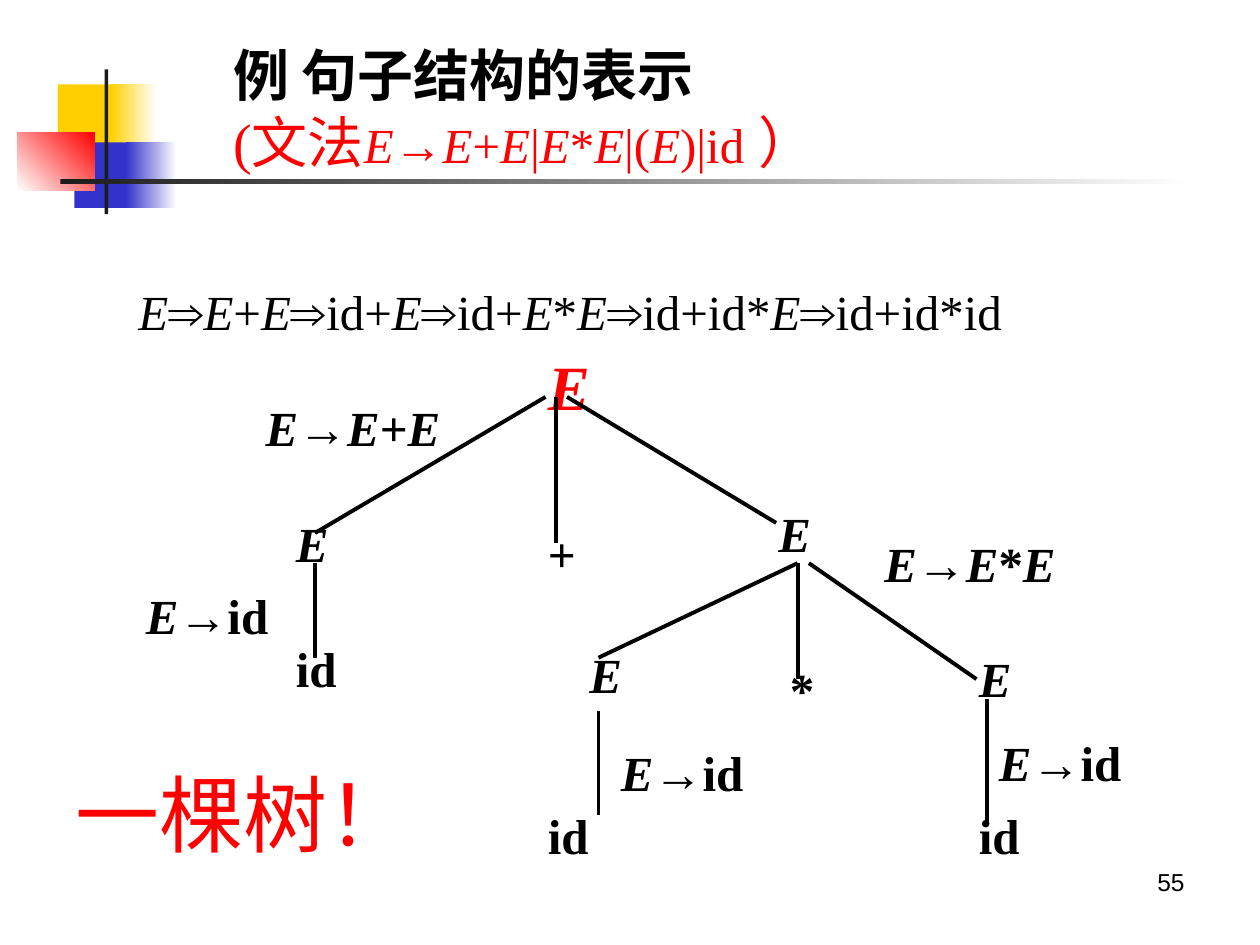
from itertools import groupby

from lxml import etree
from pptx import Presentation
from pptx.dml.color import RGBColor
from pptx.enum.shapes import MSO_CONNECTOR, MSO_SHAPE
from pptx.enum.text import MSO_ANCHOR, MSO_AUTO_SIZE, PP_ALIGN
from pptx.oxml.ns import qn
from pptx.util import Inches, Pt

RECTANGLE = MSO_SHAPE.RECTANGLE
STRAIGHT = MSO_CONNECTOR.STRAIGHT
MIDDLE = MSO_ANCHOR.MIDDLE
FIT_SHAPE = MSO_AUTO_SIZE.SHAPE_TO_FIT_TEXT
NO_FIT = MSO_AUTO_SIZE.NONE
LEFT, RIGHT = PP_ALIGN.LEFT, PP_ALIGN.RIGHT

COLORS = {
    "black": "000000",
    "white": "FFFFFF",
    "red": "FF0000",
    "yellow": "FFCF01",
    "blue": "3333CC",
    "charcoal": "1C1C1C",
}
SERIF, SANS, CHINESE = "Times New Roman", "Arial", "Noto Sans CJK SC"


def rgb(name):
    return RGBColor.from_string(COLORS[name])


def add_run(paragraph, text, color="black", face=SERIF, **format_values):
    run = paragraph.add_run()
    run.text = text
    run.font.color.rgb = rgb(color)
    run.font.name = face
    for attribute, value in format_values.items():
        setattr(run.font, attribute, value)
    east_asian = etree.SubElement(run.font._element, qn("a:ea"))
    east_asian.set("typeface", CHINESE)


def add_grammar(paragraph, text, **format_values):
    for symbol, letters in groupby(text, lambda c: c if c in "E⇒" else "other"):
        add_run(paragraph, "".join(letters), face=SANS if symbol == "⇒" else SERIF,
                italic=symbol == "E", **format_values)


def add_box(shapes, left, top, width, height):
    box = shapes.add_textbox(*map(Inches, (left, top, width, height)))
    box.text_frame.word_wrap = True
    return box.text_frame


def add_label(shapes, text, left, top, width=1.25, height=0.61,
              size=28, bold=True, color="black"):
    frame = add_box(shapes, left, top, width, height)
    frame.auto_size = FIT_SHAPE
    paragraph = frame.paragraphs[0]
    paragraph.line_spacing = 1.1
    add_grammar(paragraph, text, size=Pt(size), bold=bold, color=color)


def add_branch(shapes, x1, y1, x2, y2):
    branch = shapes.add_connector(STRAIGHT, *map(Inches, (x1, y1, x2, y2)))
    branch.line.color.rgb = rgb("black")
    branch.line.width = Pt(2.25)
    etree.SubElement(branch._element.spPr, qn("a:effectLst"))


def add_block(shapes, left, top, width, height, start, end=None, angle=0):
    block = shapes.add_shape(RECTANGLE, *map(Inches, (left, top, width, height)))
    block.shadow.inherit = False
    block.line.fill.background()
    if end is None:
        block.fill.solid()
        block.fill.fore_color.rgb = rgb(start)
        return
    block.fill.gradient()
    block.fill.gradient_angle = angle
    for stop, color in zip(block.fill.gradient_stops, (start, end)):
        stop.color.rgb = rgb(color)


def add_decoration(shapes):
    for block in (
        (0.46, 0.67, 0.48, 0.52, "yellow"),
        (0.88, 0.67, 0.36, 0.52, "yellow", "white"),
        (0.59, 1.13, 0.46, 0.52, "blue"),
        (1, 1.13, 0.4, 0.52, "blue", "white"),
        (0.14, 1.05, 0.61, 0.46, "white", "red", 45),
        (0.83, 0.55, 0.03, 1.15, "charcoal"),
        (0.48, 1.42, 9, 0.04, "charcoal", "white"),
    ):
        add_block(shapes, *block)


def add_title(title):
    title.left, title.top, title.width, title.height = map(
        Inches, (1.75, 0.27, 6.92, 1.17))
    frame = title.text_frame
    frame.auto_size = NO_FIT
    frame.vertical_anchor = MIDDLE
    paragraph = frame.paragraphs[0]
    paragraph.alignment = LEFT
    add_run(paragraph, "例 句子结构的表示", face=CHINESE, size=Pt(32), bold=True)
    paragraph.add_line_break()
    add_run(paragraph, "(文法", "red", size=Pt(32), bold=False)
    add_grammar(paragraph, "E→E+E|E*E|(E)|id", color="red", size=Pt(28), bold=False)
    add_run(paragraph, " ）", "red", size=Pt(32), bold=False)


def add_subtree(shapes, labels, branches):
    for label in labels:
        add_label(shapes, *label)
    for branch in branches:
        add_branch(shapes, *branch)


def add_tree(shapes):
    add_label(shapes, "E", 4.25, 2.65, height=0.76, size=36, color="red")
    add_subtree(
        shapes,
        [("E", 2.25, 3.98), ("+", 4.25, 4.06), ("E", 6.08, 3.9),
         ("E→E+E", 2.01, 3.06, 1.74)],
        [(2.5, 4.23, 4.33, 3.15), (6.16, 4.15, 4.5, 3.15), (4.41, 4.31, 4.41, 3.15)])
    add_subtree(
        shapes,
        [("id", 2.25, 4.97), ("E→id", 1.06, 4.55, 1.27)],
        [(2.5, 5.22, 2.5, 4.47)])
    add_subtree(
        shapes.add_group_shape().shapes,
        [("E", 4.58, 5.02), ("E", 7.67, 5.05), ("*", 6.17, 5.14),
         ("E→E*E", 6.92, 4.14, 1.58)],
        [(4.75, 5.22, 6.33, 4.47), (6.33, 4.47, 6.33, 5.39), (6.42, 4.47, 7.75, 5.39)])
    add_subtree(
        shapes,
        [("id", 4.25, 6.3), ("E→id", 4.83, 5.8, 1.35)],
        [(4.75, 5.64, 4.75, 6.47)])
    add_subtree(
        shapes.add_group_shape().shapes,
        [("id", 7.67, 6.3), ("E→id", 7.83, 5.72)],
        [(7.83, 5.55, 7.83, 6.55)])


def add_conclusion(shapes):
    frame = add_box(shapes, 0.5, 5.92, 3, 0.98)
    frame.auto_size = FIT_SHAPE
    paragraph = frame.paragraphs[0]
    paragraph.line_spacing = 1.1
    add_run(paragraph, "一棵树！", "red", CHINESE, size=Pt(48))


def add_page_number(shapes):
    paragraph = add_box(shapes, 7.17, 6.83, 2.33, 0.52).paragraphs[0]
    paragraph.alignment = RIGHT
    add_run(paragraph, "55", face=SANS, size=Pt(14))


def main():
    deck = Presentation()
    deck.slide_width, deck.slide_height = Inches(10), Inches(7.5)
    slide = deck.slides.add_slide(deck.slide_layouts[5])
    shapes = slide.shapes
    add_decoration(shapes)
    add_page_number(shapes)
    add_title(shapes.title)
    add_tree(shapes)
    add_label(shapes, "E⇒E+E⇒id+E⇒id+E*E⇒id+id*E⇒id+id*id", 1, 2.14, 8.25, bold=False)
    add_conclusion(shapes)
    deck.save("out.pptx")


if __name__ == "__main__":
    main()
